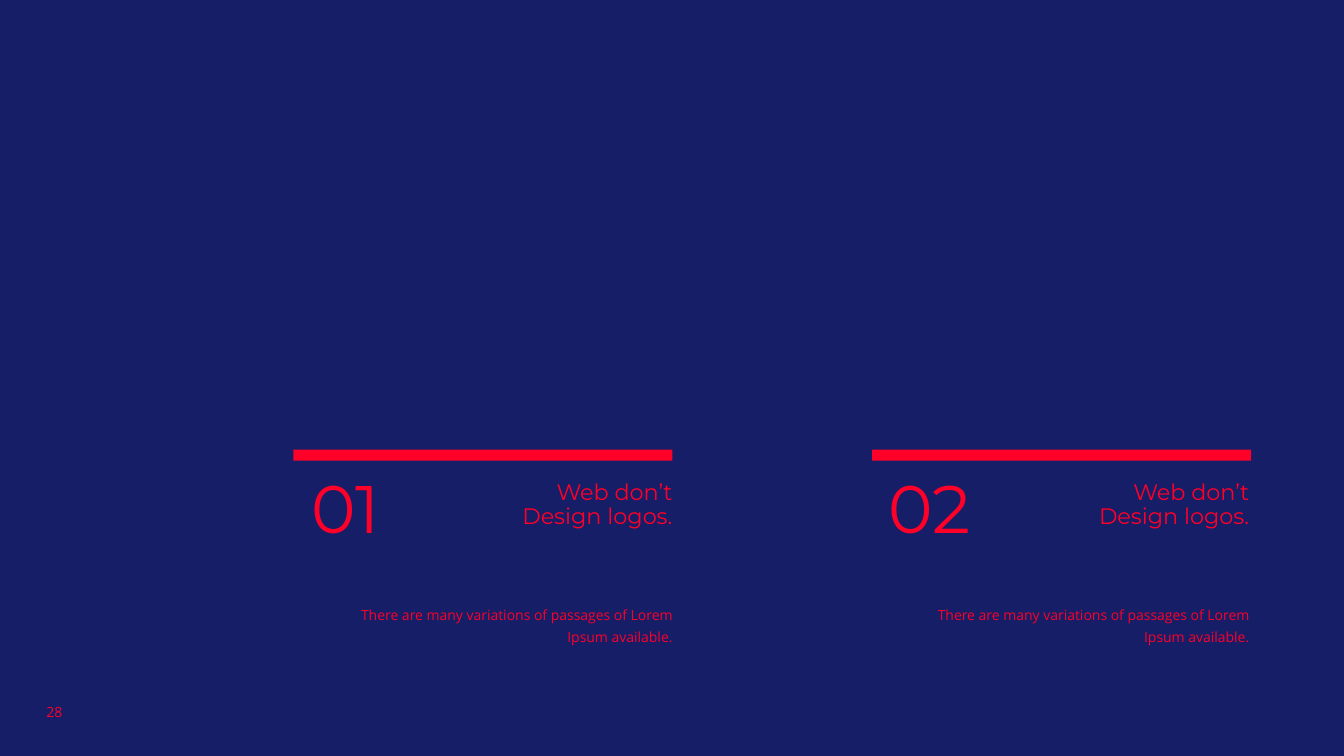
from dataclasses import dataclass

from pptx import Presentation
from pptx.dml.color import RGBColor
from pptx.enum.shapes import MSO_SHAPE as Shape
from pptx.enum.text import MSO_AUTO_SIZE as AutoSize, PP_ALIGN as Align
from pptx.util import Inches, Pt


@dataclass(frozen=True)
class Theme:
    navy: RGBColor = RGBColor(0x15, 0x1E, 0x67)
    red: RGBColor = RGBColor(0xFF, 0x00, 0x28)
    heading_font: str = "Montserrat"
    body_font: str = "Open Sans"
    number_size: int = 48
    heading_size: int = 16
    body_size: int = 10


THEME = Theme()
HEADING = "Web don’t\nDesign logos."
BODY = "There are many variations of passages of Lorem Ipsum available."
CARDS = [("01", 2.91, 3.09), ("02", 8.65, 8.81)]


def add_text(slide, text, left, top, width, height, *, size, font,
             align=Align.LEFT, spacing=1.0, side_inset=0.0, auto_size=AutoSize.SHAPE_TO_FIT_TEXT):
    box = slide.shapes.add_textbox(Inches(left), Inches(top), Inches(width), Inches(height))
    frame = box.text_frame
    frame.word_wrap = True
    frame.auto_size = auto_size
    frame.margin_left = frame.margin_right = Inches(side_inset)
    frame.margin_top = frame.margin_bottom = Inches(0.05)
    frame.text = text
    for para in frame.paragraphs:
        para.alignment = align
        para.line_spacing = spacing
        for span in para.runs:
            span.font.size = Pt(size)
            span.font.name = font
            span.font.color.rgb = THEME.red


def add_bar(slide, left):
    bar = slide.shapes.add_shape(Shape.RECTANGLE, Inches(left), Inches(4.46),
                                 Inches(3.76), Inches(0.11))
    bar.shadow.inherit = False
    bar.fill.solid()
    bar.fill.fore_color.rgb = THEME.red
    bar.line.fill.background()


def add_card(slide, number, bar_left, text_left):
    add_bar(slide, bar_left)
    add_text(slide, number, text_left, 4.67, 1.3, 0.85,
             size=THEME.number_size, font=THEME.heading_font, spacing=0.9)
    add_text(slide, HEADING, text_left + 1.33, 4.72, 2.25, 0.59, size=THEME.heading_size,
             font=THEME.heading_font, align=Align.RIGHT, spacing=0.9)
    add_text(slide, BODY, text_left + 0.44, 5.92, 3.14, 0.54, size=THEME.body_size,
             font=THEME.body_font, align=Align.RIGHT, spacing=1.3)


def main():
    deck = Presentation()
    deck.slide_width, deck.slide_height = Inches(13.33), Inches(7.5)
    page = deck.slides.add_slide(deck.slide_layouts[6])
    page.background.fill.solid()
    page.background.fill.fore_color.rgb = THEME.navy
    add_text(page, "28", 0.26, 6.93, 0.56, 0.25, size=THEME.body_size, font=THEME.body_font,
             align=Align.CENTER, side_inset=0.1, auto_size=AutoSize.NONE)
    for number, bar_left, text_left in CARDS:
        add_card(page, number, bar_left, text_left)
    deck.save("out.pptx")


if __name__ == "__main__":
    main()
